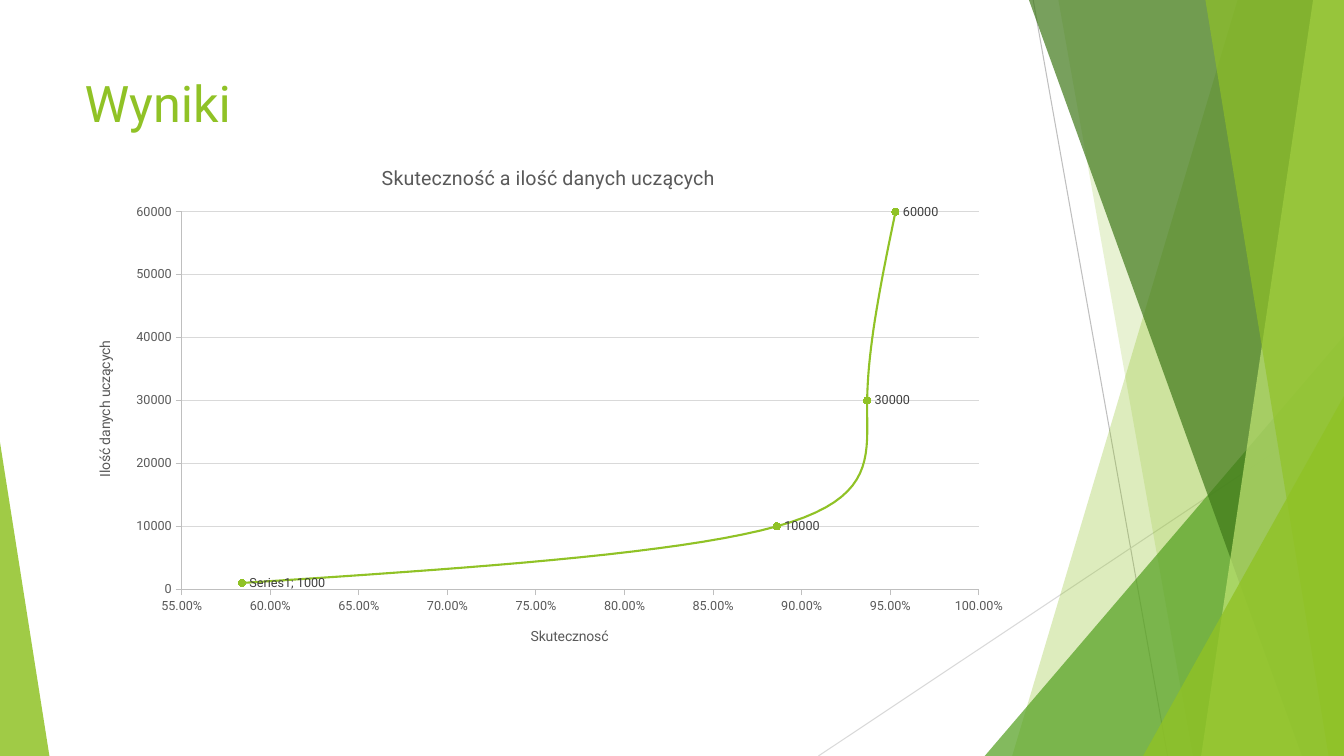
from lxml.etree import SubElement
from pptx import Presentation
from pptx.chart.data import XyChartData
from pptx.dml.color import RGBColor
from pptx.enum.chart import XL_CHART_TYPE as CT, XL_LABEL_POSITION as LP
from pptx.enum.chart import XL_MARKER_STYLE as MS, XL_TICK_MARK as TM
from pptx.enum.shapes import MSO_CONNECTOR as MC, MSO_SHAPE as SH
from pptx.oxml.ns import qn
from pptx.util import Pt

W, H = 960, 540
COLORS = {
    "lime": "90C226", "green": "54A021", "forest": "3F7819", "pale": "C0E474",
    "axis": "BFBFBF", "grid": "D9D9D9", "text": "595959", "label": "404040",
}
RESULTS = [(0.584, 1000), (0.886, 10000), (0.937, 30000), (0.953, 60000)]


class SlideBuilder:
    """Holds the style and the current slide, and adds elements to it."""

    def __init__(self, slide, colors, font):
        self.s, self.colors, self.font = slide, colors, font

    def rgb(self, name):
        return RGBColor.from_string(self.colors[name])

    def style_font(self, font, size, color):
        font.name, font.size, font.bold = self.font, Pt(size), False
        font.color.rgb = self.rgb(color)

    def style_line(self, line, color, width=0.75):
        line.color.rgb = self.rgb(color)
        line.width = Pt(width)

    def style_fill(self, sp, color, opacity):
        sp.shadow.inherit = False
        sp.fill.solid()
        sp.fill.fore_color.rgb = self.rgb(color)
        sp.line.fill.background()
        clr = sp._element.spPr.find(qn("a:solidFill"))[0]
        SubElement(clr, qn("a:alpha")).set("val", str(opacity * 1000))

    def line(self, x1, y1, x2, y2, color):
        cx = self.s.shapes.add_connector(MC.STRAIGHT, Pt(x1), Pt(y1), Pt(x2), Pt(y2))
        self.style_line(cx.line, color)
        SubElement(cx._element.spPr, qn("a:effectLst"))

    def band(self, top_x, bottom_x, color, opacity):
        fb = self.s.shapes.build_freeform(Pt(top_x), 0)
        fb.add_line_segments([(Pt(W), 0), (Pt(W), Pt(H)), (Pt(bottom_x), Pt(H))])
        self.style_fill(fb.convert_to_shape(), color, opacity)

    def triangle(self, x, y, width, apex, color, opacity):
        sp = self.s.shapes.add_shape(
            SH.ISOSCELES_TRIANGLE, Pt(x), Pt(y), Pt(width), Pt(H - y))
        sp.adjustments[0] = apex
        self.style_fill(sp, color, opacity)

    def title(self, text, x, y, width, height):
        tf = self.s.shapes.add_textbox(Pt(x), Pt(y), Pt(width), Pt(height)).text_frame
        tf.word_wrap = True
        tf.text = text
        self.style_font(tf.paragraphs[0].runs[0].font, 36, "lime")

    def chart_title(self, owner, text, size):
        p = owner.text_frame.paragraphs[0]
        p.text = text
        self.style_font(p.runs[0].font, size, "text")

    def axis(self, axis, title, low, high, step, number_format):
        axis.minimum_scale, axis.maximum_scale, axis.major_unit = low, high, step
        axis.major_tick_mark, axis.minor_tick_mark = TM.OUTSIDE, TM.NONE
        axis.tick_labels.number_format = number_format
        axis.tick_labels.number_format_is_linked = False
        self.style_font(axis.tick_labels.font, 9, "text")
        self.style_line(axis.format.line, "axis")
        self.chart_title(axis.axis_title, title, 10)

    def plot_layout(self, chart, **box):
        area = chart._chartSpace.chart.plotArea
        for old in area.findall(qn("c:layout")):
            area.remove(old)
        layout = SubElement(area, qn("c:layout"))
        area.insert(0, layout)
        manual = SubElement(layout, qn("c:manualLayout"))
        settings = {"layoutTarget": "inner", "xMode": "edge", "yMode": "edge", **box}
        for tag, value in settings.items():
            SubElement(manual, qn(f"c:{tag}")).set("val", str(value))

    def series(self, series):
        self.style_line(series.format.line, "lime", 1.5)
        marker = series.marker
        marker.style, marker.size = MS.CIRCLE, 5
        marker.format.fill.solid()
        marker.format.fill.fore_color.rgb = self.rgb("lime")
        self.style_line(marker.format.line, "lime")
        for i in range(len(RESULTS)):
            label = series.points[i].data_label
            self.style_font(label.font, 9, "label")
            label.position = LP.RIGHT
        ser = series._element
        ser.find(qn("c:smooth")).set("val", "1")
        first = ser.find(".//" + qn("c:dLbl"))
        first.find(qn("c:showSerName")).set("val", "1")
        SubElement(first, qn("c:separator")).text = "; "

    def chart(self, x, y, width, height):
        data = XyChartData()
        points = data.add_series("Series1")
        for accuracy, count in RESULTS:
            points.add_data_point(accuracy, count)
        chart = self.s.shapes.add_chart(
            CT.XY_SCATTER_SMOOTH, Pt(x), Pt(y), Pt(width), Pt(height), data).chart
        self.style_font(chart.font, 10, "text")
        chart.has_legend = False
        chart.plots[0].vary_by_categories = False
        self.chart_title(chart.chart_title, "Skuteczność a ilość danych uczących", 14)
        xa, ya = chart.category_axis, chart.value_axis
        self.axis(xa, "Skutecznosć", 0.55, 1, 0.05, "0.00%")
        self.axis(ya, "Ilość danych uczących", 0, 60000, 10000, "General")
        xa.has_major_gridlines = False
        self.style_line(ya.major_gridlines.format.line, "grid")
        self.series(chart.plots[0].series[0])
        self.plot_layout(chart, x=0.113, y=0.128, w=0.841, h=0.725)


def main():
    prs = Presentation()
    prs.slide_width, prs.slide_height = Pt(W), Pt(H)
    b = SlideBuilder(prs.slides.add_slide(prs.slide_layouts[6]), COLORS, "Roboto")
    b.line(738, 0, 834, H, "axis")
    b.line(W, 290, 584.6, H, "grid")
    b.band(884, 723, "lime", 30)
    b.band(756, 852, "lime", 20)
    b.triangle(703.4, 240, 256.6, 1, "green", 72)
    b.band(735, 930, "forest", 70)
    b.band(938, 858, "pale", 70)
    b.band(861, 949, "lime", 65)
    b.triangle(816.5, 283, 143.5, 1, "lime", 80)
    b.triangle(0, 316, 35.3, 0, "lime", 85)
    b.title("Wyniki", 53.3, 48, 677, 104)
    b.chart(53.3, 103.7, 677, 372)
    prs.save("out.pptx")


if __name__ == "__main__":
    main()
